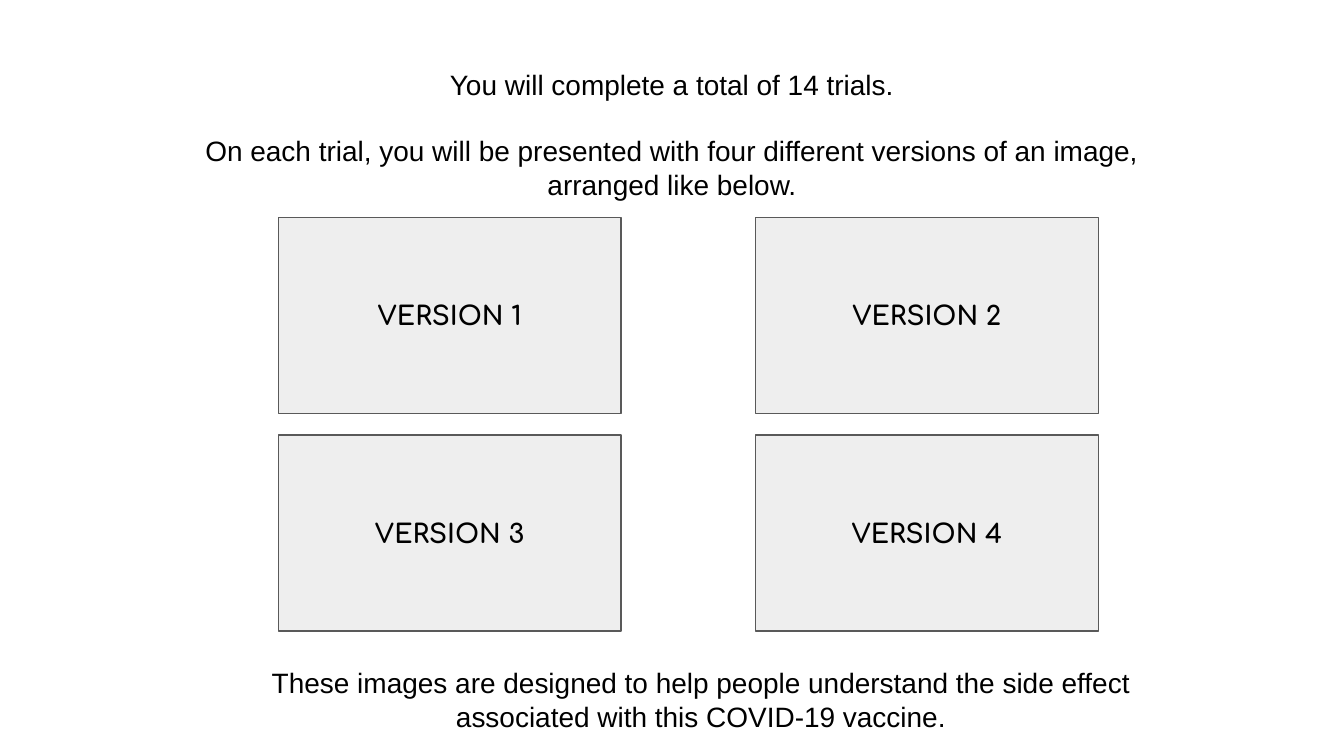
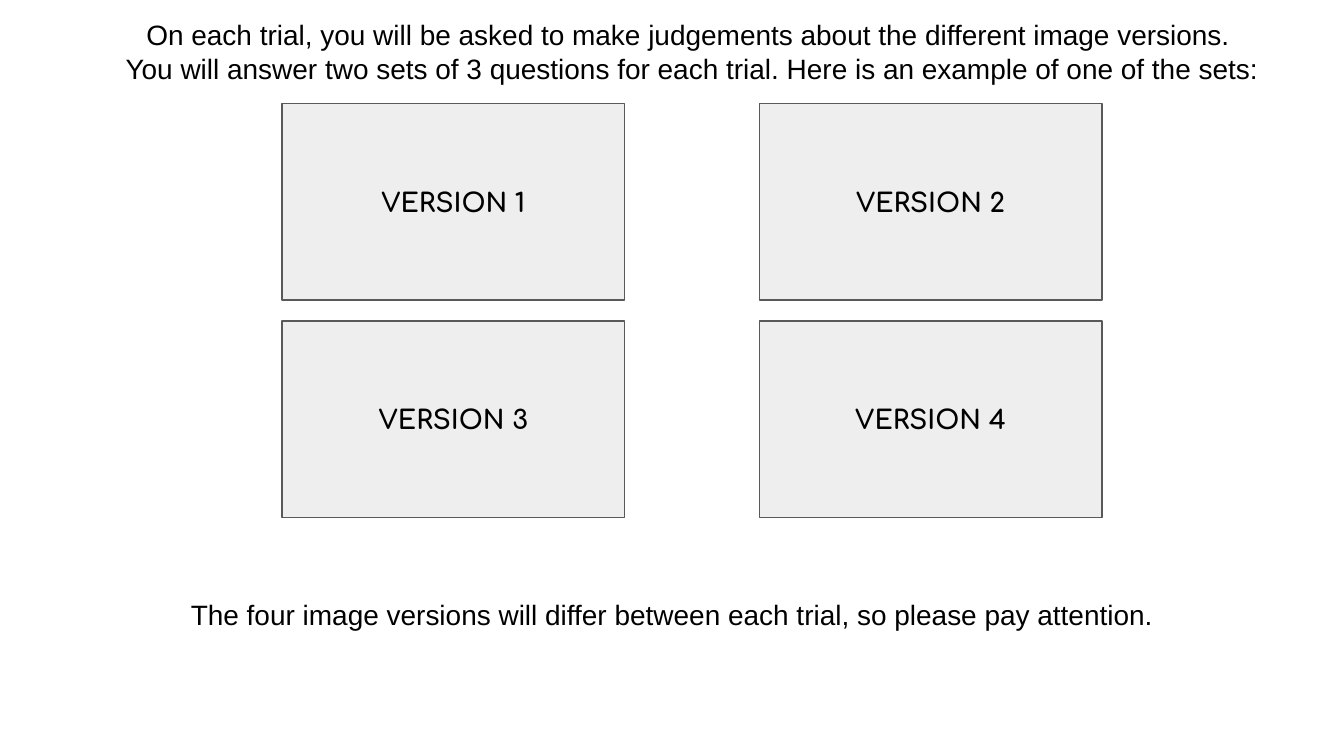
from pptx import Presentation
from pptx import util as u
from pptx.dml import color
from pptx.enum import shapes, text


def rgb(value):
    return color.RGBColor.from_string(value)


class Deck:
    """Shared style and the slide being built; lengths are in cm."""

    BLACK, PANEL, OUTLINE = "000000", "EEEEEE", "595959"
    BODY = ("Arial", 15, False)
    LABEL = ("Comfortaa", 14, True)
    PANEL_W, PANEL_H = 6.48, 3.71
    STEP_X, STEP_Y = 9.02, 4.11
    INSET = 0.25

    def __init__(self):
        self.prs = Presentation()
        self.prs.slide_width, self.prs.slide_height = u.Cm(25.4), u.Cm(14.29)

    def new_slide(self):
        self.s = self.prs.slides.add_slide(self.prs.slide_layouts[6])
        self.s.background.fill.solid()
        self.s.background.fill.fore_color.rgb = rgb("FFFFFF")

    def set_text(self, sp, lines, style, anchor, gap=0):
        name, size, bold = style
        tf = sp.text_frame
        tf.word_wrap = True
        tf.vertical_anchor = anchor
        tf.margin_left = tf.margin_right = u.Cm(self.INSET)
        tf.margin_top = tf.margin_bottom = u.Cm(self.INSET)
        tf.text = "\n".join(lines)
        for i, p in enumerate(tf.paragraphs):
            p.alignment = text.PP_ALIGN.CENTER
            if i and gap:
                p.space_before = u.Pt(gap)
            for r in p.runs:
                r.font.name, r.font.size, r.font.bold = name, u.Pt(size), bold
                r.font.color.rgb = rgb(self.BLACK)

    def note(self, x, y, w, h, *lines, anchor=text.MSO_ANCHOR.MIDDLE, gap=0):
        sp = self.s.shapes.add_textbox(u.Cm(x), u.Cm(y), u.Cm(w), u.Cm(h))
        self.set_text(sp, lines, self.BODY, anchor, gap)

    def version_grid(self, x, y):
        group = self.s.shapes.add_group_shape()
        for i in range(4):
            row, col = divmod(i, 2)
            sp = group.shapes.add_shape(
                shapes.MSO_SHAPE.RECTANGLE,
                u.Cm(x + col * self.STEP_X), u.Cm(y + row * self.STEP_Y),
                u.Cm(self.PANEL_W), u.Cm(self.PANEL_H))
            sp.shadow.inherit = False
            sp.fill.solid()
            sp.fill.fore_color.rgb = rgb(self.PANEL)
            sp.line.color.rgb = rgb(self.OUTLINE)
            sp.line.width = u.Pt(0.75)
            self.set_text(sp, [f"VERSION {i + 1}"], self.LABEL,
                          text.MSO_ANCHOR.MIDDLE)


deck = Deck()

# Slide 1: how each trial is laid out
deck.new_slide()
deck.note(3.38, 0.94, 18.64, 3.2,
          "You will complete a total of 14 trials.",
          "On each trial, you will be presented with four different versions "
          "of an image, arranged like below.", gap=17.5)
deck.version_grid(5.26, 4.11)
deck.note(4.04, 12.34, 18.42, 1.8,
          "These images are designed to help people understand the side "
          "effect associated with this COVID-19 vaccine.",
          anchor=text.MSO_ANCHOR.TOP)

# Slide 2: the questions asked
deck.new_slide()
deck.note(1.12, -0.02, 23.93, 1.98,
          "On each trial, you will be asked to make judgements about the "
          "different image versions. ",
          "You will answer two sets of 3 questions for each trial. "
          "Here is an example of one of the sets:")
deck.version_grid(5.33, 1.96)
deck.note(0.74, 10.62, 23.93, 1.98,
          "The four image versions will differ between each trial, "
          "so please pay attention.")

deck.prs.save("out.pptx")
